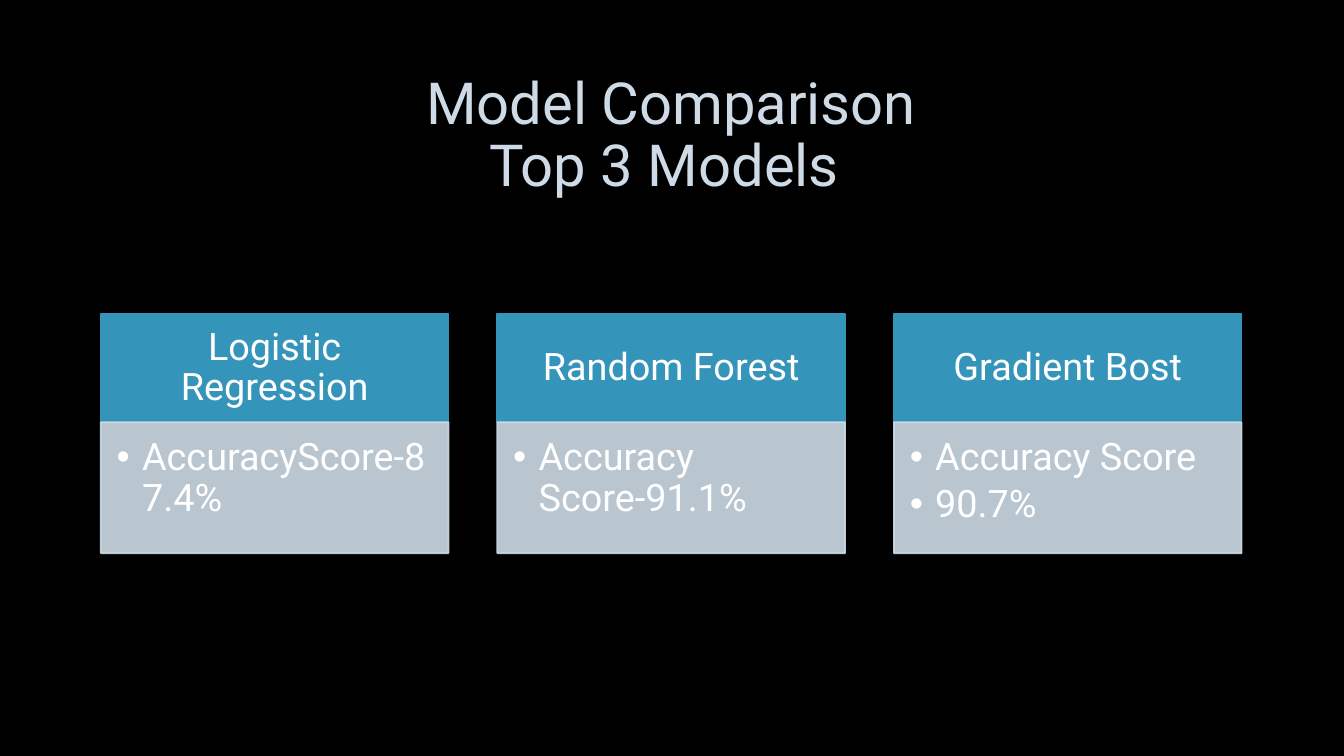
from lxml.etree import SubElement
from pptx import Presentation
from pptx.dml.color import RGBColor as RGB
from pptx.enum.shapes import MSO_SHAPE as SHAPE
from pptx.enum.text import MSO_ANCHOR as ANCHOR, MSO_AUTO_SIZE as AUTO, PP_ALIGN as ALIGN
from pptx.oxml.ns import qn
from pptx.util import Cm, Pt

COLORS = {"background": "000000", "title": "CEDBE6", "header": "3494BA",
          "body": "CEDCE7", "text": "FFFFFF"}
FONT = "Roboto"
CARD_TEXT_SIZE = 27
HEADER_HEIGHT = 2.72

HEADER_FRAME = {"vertical_anchor": ANCHOR.MIDDLE, "margin_left": Cm(0.53),
                "margin_top": Cm(0.3), "margin_right": Cm(0.53), "margin_bottom": Cm(0.3)}
BODY_FRAME = {"vertical_anchor": ANCHOR.TOP, "margin_left": Cm(0.4),
              "margin_top": Cm(0.4), "margin_right": Cm(0.53), "margin_bottom": Cm(0.6)}
HEADER_PARAGRAPH = {"alignment": ALIGN.CENTER, "line_spacing": 0.9}
BODY_PARAGRAPH = {"alignment": ALIGN.LEFT, "line_spacing": 0.9,
                  "space_after": Pt(4.4), "level": 1}

MODELS = [
    ("Logistic Regression", ["AccuracyScore-87.4%"]),
    ("Random Forest", ["Accuracy Score-91.1%"]),
    ("Gradient Bost", ["Accuracy Score", "90.7%"]),
]


def apply(target, values):
    for name, value in values.items():
        setattr(target, name, value)


def set_font(paragraph, size, color):
    apply(paragraph.font, {"name": FONT, "size": Pt(size)})
    paragraph.font.color.rgb = RGB.from_string(COLORS[color])


def add_bullet(paragraph):
    properties = paragraph._p.get_or_add_pPr()
    properties.set("marL", str(Cm(0.64)))
    properties.set("indent", str(-Cm(0.64)))
    SubElement(properties, qn("a:buFont")).set("typeface", "Arial")
    SubElement(properties, qn("a:buChar")).set("char", "•")


def place(shape, box):
    apply(shape, dict(zip(("left", "top", "width", "height"), map(Cm, box))))


def add_title(slide, box):
    title = slide.shapes.title
    place(title, box)
    frame = title.text_frame
    apply(frame, {"text": "Model Comparison\vTop 3 Models ", "word_wrap": True,
                  "auto_size": AUTO.NONE, "vertical_anchor": ANCHOR.MIDDLE})
    heading = frame.paragraphs[0]
    apply(heading, HEADER_PARAGRAPH)
    set_font(heading, 41.4, "title")


def add_panel(slide, box, color, lines, frame_format, paragraph_format, bulleted=False):
    panel = slide.shapes.add_shape(SHAPE.RECTANGLE, *map(Cm, box))
    panel.shadow.inherit = False
    panel.fill.solid()
    for fill in (panel.fill.fore_color, panel.line.color):
        fill.rgb = RGB.from_string(COLORS[color])
    panel.line.width = Pt(1.25)
    frame = panel.text_frame
    apply(frame, {"text": "\n".join(lines), "word_wrap": True, **frame_format})
    for paragraph in frame.paragraphs:
        apply(paragraph, paragraph_format)
        if bulleted:
            add_bullet(paragraph)
        set_font(paragraph, CARD_TEXT_SIZE, "text")
    return panel


def add_card(slide, box, model, scores):
    left, top, width, height = box
    # Model name
    add_panel(slide, (left, top, width, HEADER_HEIGHT), "header", [model],
              HEADER_FRAME, HEADER_PARAGRAPH)
    # Score list on a slightly transparent panel
    body_box = (left, top + HEADER_HEIGHT, width, height - HEADER_HEIGHT)
    body = add_panel(slide, body_box, "body", scores, BODY_FRAME, BODY_PARAGRAPH, True)
    for color in body._element.spPr.iter(qn("a:srgbClr")):
        SubElement(color, qn("a:alpha")).set("val", "90000")


def add_cards(slide, box, gap):
    left, top, width, height = box
    card_width = (width - gap * (len(MODELS) - 1)) / len(MODELS)
    for index, (model, scores) in enumerate(MODELS):
        card_left = left + index * (card_width + gap)
        add_card(slide, (card_left, top, card_width, height), model, scores)


def main():
    deck = Presentation()
    apply(deck, {"slide_width": Cm(33.87), "slide_height": Cm(19.05)})
    slide = deck.slides.add_slide(deck.slide_layouts[5])
    background = slide.background.fill
    background.solid()
    background.fore_color.rgb = RGB.from_string(COLORS["background"])
    add_title(slide, (2.54, 1.7, 28.75, 3.5))
    add_cards(slide, (2.54, 7.92, 28.75, 6.02), gap=1.23)
    deck.save("out.pptx")


if __name__ == "__main__":
    main()
